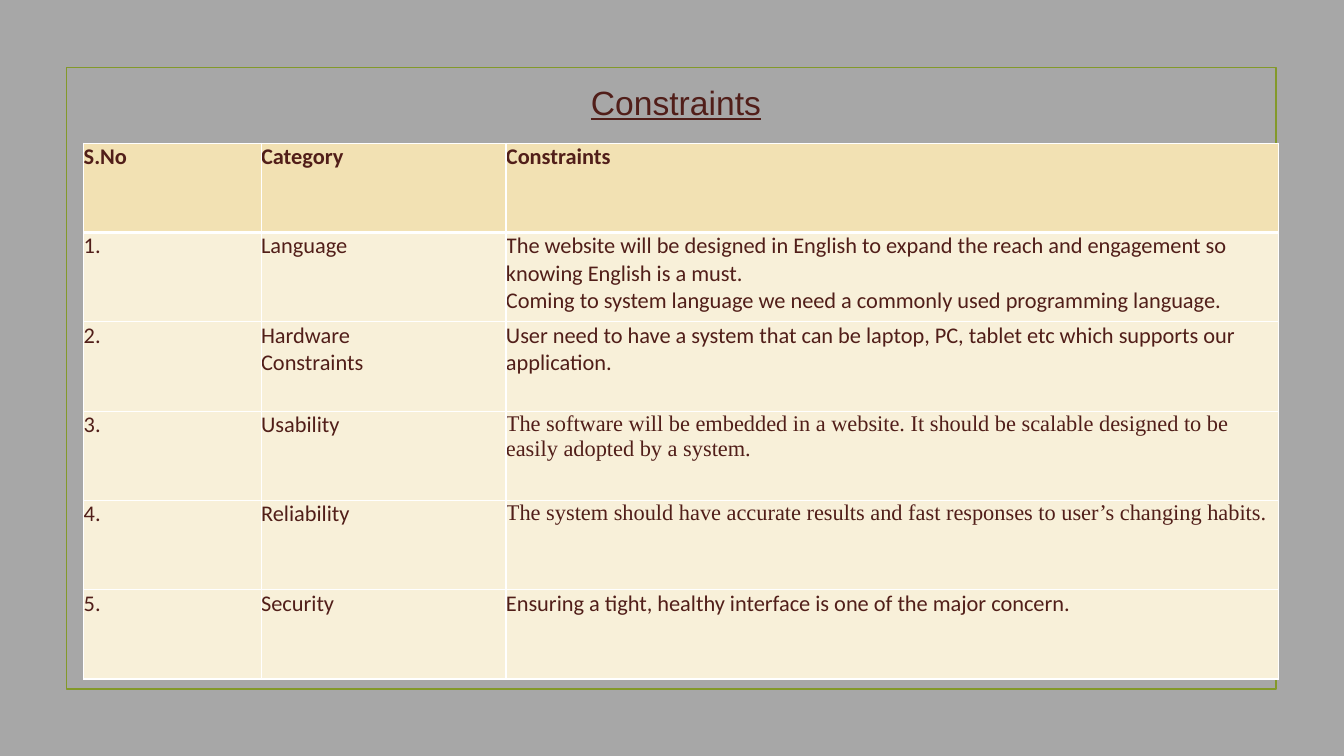
import dataclasses

import lxml.etree
import pptx
import pptx.dml.color
import pptx.enum.shapes
import pptx.enum.text
import pptx.oxml.ns
import pptx.util

Cm = pptx.util.Cm
Pt = pptx.util.Pt
SANS = "Calibri"
SERIF = "Times New Roman"
MARGINS = ("margin_left", "margin_top", "margin_right", "margin_bottom")

COLUMN_WIDTHS = (4.47, 6.17, 19.46)
ROW_HEIGHT = 2.25
HEADINGS = ("S.No", "Category", "Constraints")
# Category, constraint and the font of the constraint; rows are numbered in order.
CONSTRAINTS = (
    ("Language",
     "The website will be designed in English to expand the reach and engagement "
     "so knowing English is a must.\n"
     "Coming to system language we need a commonly used programming language.", SANS),
    ("Hardware\nConstraints",
     "User need to have a system that can be laptop, PC, tablet etc which supports "
     "our application.", SANS),
    ("Usability",
     "The software will be embedded in a website. It should be scalable designed to "
     "be easily adopted by a system.", SERIF),
    ("Reliability",
     "The system should have accurate results and fast responses to user’s changing "
     "habits.", SERIF),
    ("Security",
     "Ensuring a tight, healthy interface is one of the major concern.", SANS),
)


@dataclasses.dataclass(frozen=True)
class Theme:
    background: str = "A7A7A7"
    frame: str = "83992A"
    text: str = "511E19"
    header_fill: str = "F2E1B3"
    body_fill: str = "F8F0D9"
    border: str = "FFFFFF"
    title_size: int = 24
    table_size: int = 16
    frame_width: float = 1.25
    border_width: int = 1
    header_rule_width: int = 3


def rgb(value):
    return pptx.dml.color.RGBColor.from_string(value)


class SlideBuilder:
    def __init__(self, slide, theme):
        self.slide = slide
        self.theme = theme

    def paint_background(self):
        fill = self.slide.background.fill
        fill.solid()
        fill.fore_color.rgb = rgb(self.theme.background)

    def add_frame(self, left, top, width, height):
        frame = self.slide.shapes.add_shape(
            pptx.enum.shapes.MSO_SHAPE.RECTANGLE, Cm(left), Cm(top), Cm(width), Cm(height))
        frame.shadow.inherit = False
        frame.fill.background()
        frame.line.color.rgb = rgb(self.theme.frame)
        frame.line.width = Pt(self.theme.frame_width)

    def set_text(self, text_frame, text, **font_values):
        """Fill a text frame, one paragraph for each line of text."""
        text_frame.text = text
        for para in text_frame.paragraphs:
            for span in para.runs:
                for name, value in font_values.items():
                    setattr(span.font, name, value)
                span.font.color.rgb = rgb(self.theme.text)

    def add_title(self, text, left, top, width, height):
        box = self.slide.shapes.add_textbox(Cm(left), Cm(top), Cm(width), Cm(height))
        frame = box.text_frame
        for name, value in {"word_wrap": True, **dict.fromkeys(MARGINS, Cm(0.13))}.items():
            setattr(frame, name, value)
        self.set_text(frame, text, name="Arial", size=Pt(self.theme.title_size),
                      underline=True)
        frame.paragraphs[0].alignment = pptx.enum.text.PP_ALIGN.CENTER

    def set_borders(self, cell, top, bottom):
        """Draw the four cell borders; they must precede the fill in the cell's XML."""
        properties = cell._tc.get_or_add_tcPr()
        qn = pptx.oxml.ns.qn
        side = self.theme.border_width
        widths = {"a:lnL": side, "a:lnR": side, "a:lnT": top, "a:lnB": bottom}
        for index, (tag, width) in enumerate(widths.items()):
            line = lxml.etree.Element(qn(tag), w=str(int(Pt(width))))
            fill = lxml.etree.SubElement(line, qn("a:solidFill"))
            lxml.etree.SubElement(fill, qn("a:srgbClr"), val=self.theme.border)
            properties.insert(index, line)

    def style_cell(self, cell, row):
        theme = self.theme
        for name in MARGINS:
            setattr(cell, name, 0)
        cell.fill.solid()
        cell.fill.fore_color.rgb = rgb(theme.body_fill if row else theme.header_fill)
        thin, thick = theme.border_width, theme.header_rule_width
        self.set_borders(cell, top=thick if row == 1 else thin,
                         bottom=thin if row else thick)

    def add_table(self, rows, left, top, column_widths, row_height):
        """Add a table from rows of (text, font) pairs, the first row being the header."""
        table = self.slide.shapes.add_table(
            len(rows), len(column_widths), Cm(left), Cm(top),
            Cm(sum(column_widths)), Cm(row_height * len(rows))).table
        table.horz_banding = False
        for column, width in zip(table.columns, column_widths):
            column.width = Cm(width)
        for row, entries in enumerate(rows):
            table.rows[row].height = Cm(row_height)
            for column, (text, font) in enumerate(entries):
                cell = table.cell(row, column)
                self.set_text(cell.text_frame, text, name=font,
                              size=Pt(self.theme.table_size), bold=row == 0)
                self.style_cell(cell, row)


def main():
    deck = pptx.Presentation()
    deck.slide_width, deck.slide_height = Cm(33.87), Cm(19.05)
    page = SlideBuilder(deck.slides.add_slide(deck.slide_layouts[6]), Theme())

    page.paint_background()
    page.add_frame(1.68, 1.7, 30.48, 15.67)
    page.add_title("Constraints", 2.62, 1.93, 28.83, 1.27)
    rows = [[(heading, SANS) for heading in HEADINGS]]
    for number, (category, constraint, font) in enumerate(CONSTRAINTS, start=1):
        rows.append([(f"{number}.", SANS), (category, SANS), (constraint, font)])
    page.add_table(rows, 2.11, 3.61, COLUMN_WIDTHS, ROW_HEIGHT)

    deck.save("out.pptx")


if __name__ == "__main__":
    main()
